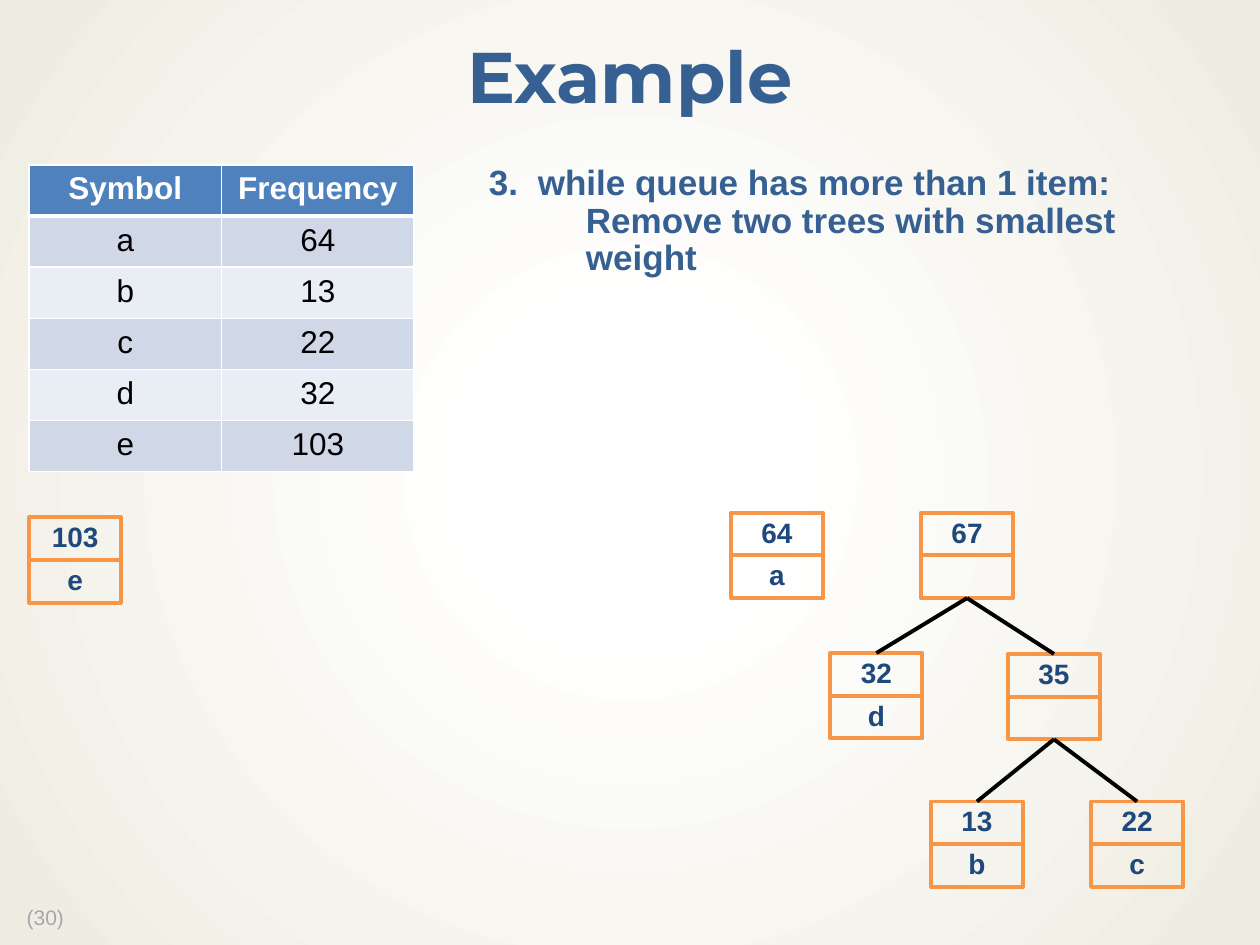
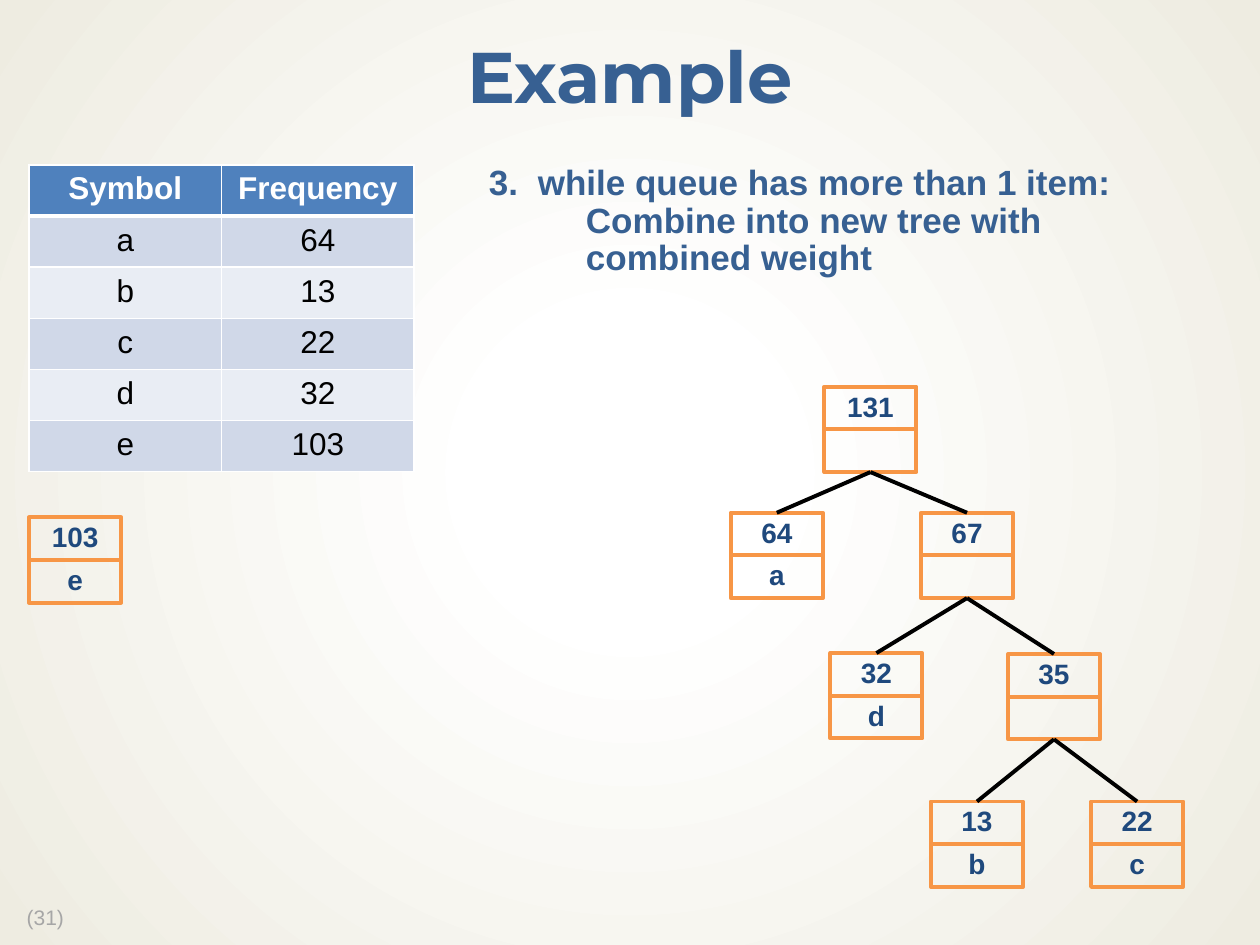
from lxml import etree
from pptx import Presentation
from pptx import util as u
from pptx.dml.color import RGBColor
from pptx.enum import shapes, text
from pptx.oxml import parse_xml
from pptx.oxml.ns import nsdecls, qn

COLORS = {
    "heading": "376092", "node_text": "1F497D", "node_line": "F79646",
    "edge": "000000", "page_number": "A6A6A6", "white": "FFFFFF",
    "paper": "EEECE1", "table_head": "4F81BD", "table_text": "000000",
    "band_dark": "D0D8E8", "band_light": "E9EDF4",
}
ROWS = [("Symbol", "Frequency"), ("a", "64"), ("b", "13"),
        ("c", "22"), ("d", "32"), ("e", "103")]
BOX_WIDTH, BOX_HEIGHT = 52.6, 24.4
# weight: (symbol, left, top)
NODES = {
    "103": ("e", 16.6, 295.6),
    "64": ("a", 417.6, 293),
    "67": ("", 526.3, 293),
    "32": ("d", 474.5, 373.2),
    "35": ("", 576, 373.7),
    "13": ("b", 532, 458),
    "22": ("c", 623.5, 458),
    "131": ("", 471.1, 221),
}
BASE_TREE = {"67": ("32", "35"), "35": ("13", "22")}
STEPS = [
    {"page": "(30)", "action": "Remove two trees with smallest\vweight",
     "weights": ["103", "64", "67", "32", "35", "13", "22"],
     "children": BASE_TREE},
    {"page": "(31)", "action": "Combine into new tree with\vcombined weight",
     "weights": list(NODES),
     "children": {**BASE_TREE, "131": ("64", "67")}},
]


def color(name):
    return RGBColor.from_string(COLORS[name])


def format_text(paragraph, content, *, size, fill, font="Arial", bold=False,
                align=text.PP_ALIGN.LEFT, spacing=0.9, margin=0, indent=0):
    paragraph.text = content
    paragraph.alignment = align
    paragraph.line_spacing = spacing
    paragraph.font.size = u.Pt(size)
    paragraph.font.name = font
    paragraph.font.bold = bold
    paragraph.font.color.rgb = color(fill)
    if margin:
        properties = paragraph._p.get_or_add_pPr()
        properties.set("marL", str(u.Pt(margin)))
        properties.set("indent", str(u.Pt(indent)))


def add_text_frame(slide, left, top, width, height, inset_x, inset_y):
    box = slide.shapes.add_textbox(u.Pt(left), u.Pt(top), u.Pt(width), u.Pt(height))
    frame = box.text_frame
    frame.word_wrap = True
    frame.margin_left = frame.margin_right = u.Pt(inset_x)
    frame.margin_top = frame.margin_bottom = u.Pt(inset_y)
    return frame


def set_background(slide):
    """Fill the slide with a circular gradient from white to paper."""
    slide.background.fill.solid()
    properties = slide.element.find(".//" + qn("p:bgPr"))
    gradient = parse_xml(
        f'<a:gradFill {nsdecls("a")} rotWithShape="1"><a:gsLst>'
        f'<a:gs pos="18000"><a:srgbClr val="{COLORS["white"]}">'
        '<a:alpha val="53000"/></a:srgbClr></a:gs>'
        f'<a:gs pos="100000"><a:srgbClr val="{COLORS["paper"]}"/></a:gs></a:gsLst>'
        '<a:path path="circle"><a:fillToRect l="50000" t="50000" r="50000" b="50000"/>'
        '</a:path></a:gradFill>')
    properties.replace(properties[0], gradient)


def add_title(slide, title):
    frame = add_text_frame(slide, 0, 12.2, 720, 67.7, 9.4, 4.3)
    frame.vertical_anchor = text.MSO_ANCHOR.MIDDLE
    format_text(frame.paragraphs[0], title, size=41, fill="heading",
                font="Montserrat", bold=True, align=text.PP_ALIGN.CENTER)


def add_page_number(slide, label):
    frame = add_text_frame(slide, 8.2, 514.8, 40.3, 20.2, 7.2, 3.6)
    format_text(frame.paragraphs[0], label, size=12, fill="page_number")


def add_step_text(slide, action):
    frame = add_text_frame(slide, 270.7, 90, 421.9, 119.5, 8.64, 4.3)
    style = {"size": 20, "fill": "heading", "bold": True}
    format_text(frame.paragraphs[0], "3.\twhile queue has more than 1 item:",
                margin=28, indent=-28, **style)
    format_text(frame.add_paragraph(), action, margin=55.5, **style)


def set_cell_borders(cell, bottom_width):
    properties = cell._tc.get_or_add_tcPr()
    widths = {"lnL": 1, "lnR": 1, "lnT": 1, "lnB": bottom_width}
    for position, (tag, width) in enumerate(widths.items()):
        line = etree.Element(qn(f"a:{tag}"), w=str(u.Pt(width)))
        fill = etree.SubElement(line, qn("a:solidFill"))
        etree.SubElement(fill, qn("a:srgbClr"), val=COLORS["white"])
        properties.insert(position, line)


def add_frequency_table(slide):
    table = slide.shapes.add_table(len(ROWS), 2, u.Pt(16.6), u.Pt(94.3),
                                   u.Pt(220), u.Pt(175.2)).table
    for row_index, values in enumerate(ROWS):
        is_head = row_index == 0
        band = "band_dark" if row_index % 2 else "band_light"
        for column_index, value in enumerate(values):
            cell = table.cell(row_index, column_index)
            cell.fill.solid()
            cell.fill.fore_color.rgb = color("table_head" if is_head else band)
            format_text(cell.text_frame.paragraphs[0], value, size=18, bold=is_head,
                        fill="white" if is_head else "table_text",
                        align=text.PP_ALIGN.CENTER, spacing=1.0)
            set_cell_borders(cell, 3 if is_head else 1)


def add_node(slide, weight):
    """Stack a weight box on a symbol box."""
    symbol, left, top = NODES[weight]
    for level, label in enumerate((weight, symbol)):
        box = slide.shapes.add_shape(
            shapes.MSO_SHAPE.RECTANGLE, u.Pt(left), u.Pt(top + level * BOX_HEIGHT),
            u.Pt(BOX_WIDTH), u.Pt(BOX_HEIGHT))
        box.shadow.inherit = False
        box.fill.background()
        box.line.color.rgb = color("node_line")
        box.line.width = u.Pt(2.25)
        if label:
            format_text(box.text_frame.paragraphs[0], label, size=16, bold=True,
                        fill="node_text", align=text.PP_ALIGN.CENTER)


def add_edge(slide, parent, child):
    _, parent_left, parent_top = NODES[parent]
    _, child_left, child_top = NODES[child]
    edge = slide.shapes.add_connector(
        shapes.MSO_CONNECTOR.STRAIGHT,
        u.Pt(parent_left + BOX_WIDTH / 2), u.Pt(parent_top + 2 * BOX_HEIGHT),
        u.Pt(child_left + BOX_WIDTH / 2), u.Pt(child_top))
    edge.line.color.rgb = color("edge")
    edge.line.width = u.Pt(2.25)
    etree.SubElement(edge._element.spPr, qn("a:effectLst"))


def add_trees(slide, weights, children):
    for weight in weights:
        add_node(slide, weight)
    for parent, pair in children.items():
        for child in pair:
            add_edge(slide, parent, child)


def main():
    presentation = Presentation()
    presentation.slide_width, presentation.slide_height = u.Pt(720), u.Pt(540)
    for step in STEPS:
        slide = presentation.slides.add_slide(presentation.slide_layouts[6])
        set_background(slide)
        add_page_number(slide, step["page"])
        add_title(slide, "Example")
        add_frequency_table(slide)
        add_step_text(slide, step["action"])
        add_trees(slide, step["weights"], step["children"])
    presentation.save("out.pptx")


if __name__ == "__main__":
    main()
